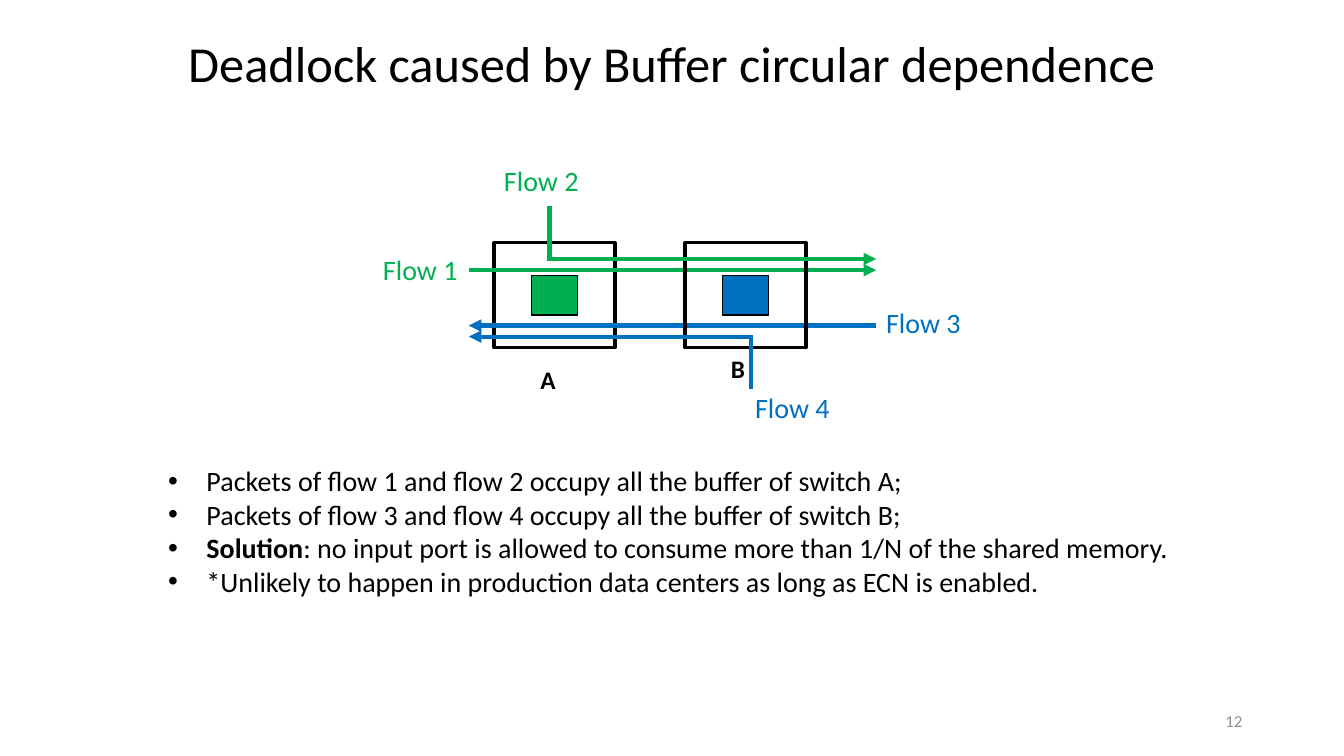
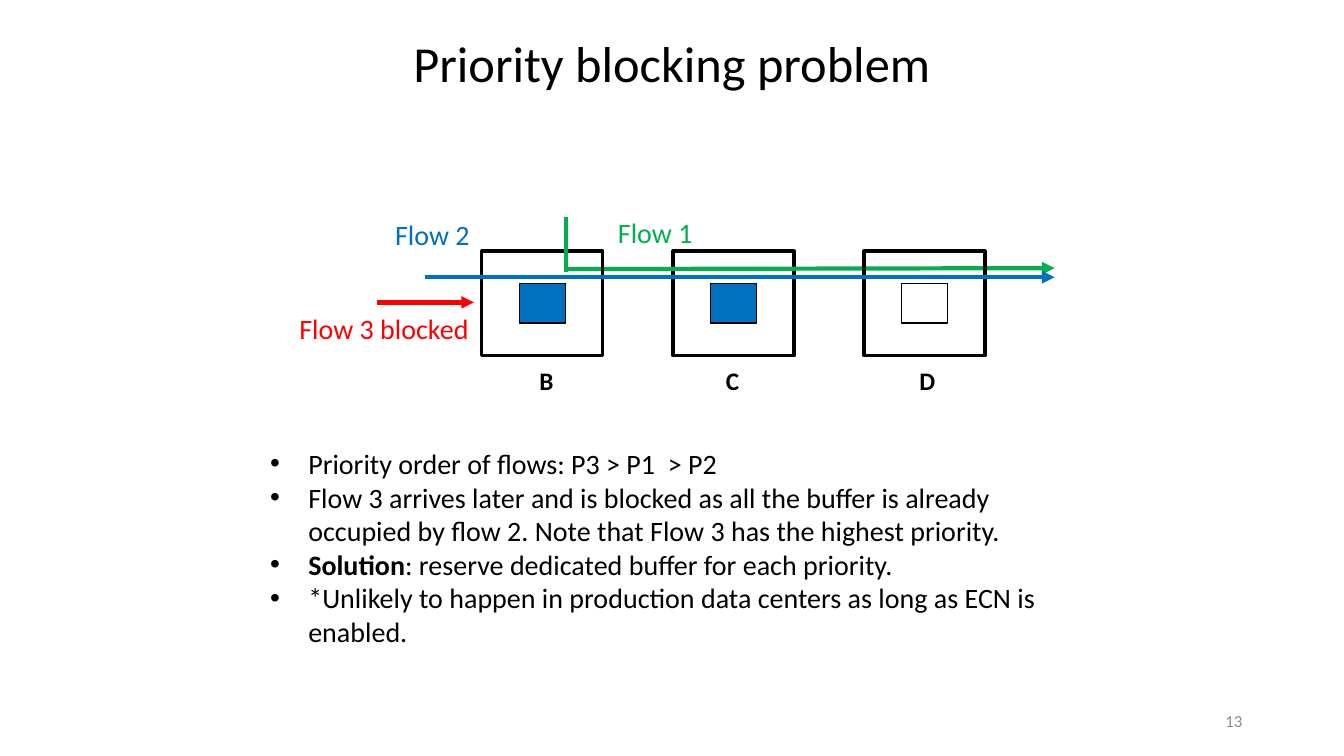
from lxml import etree
from pptx import Presentation
from pptx import util as u
from pptx.dml.color import RGBColor
from pptx.enum import shapes, text
from pptx.oxml import ns

COLORS = {"black": "000000", "green": "00B050", "blue": "0070C0",
          "red": "FF0000", "gray": "8C8C8C"}
FONT = "Calibri"
SWITCH = (1.2, 1.04)
BUFFER = (0.46, 0.39)
SWITCH_STEP = 1.895
ECN_NOTE = "*Unlikely to happen in production data centers as long as ECN is enabled."


class Deck:
    """Holds the shared style and the page being drawn."""

    def __init__(self):
        self.file = Presentation()
        self.file.slide_width = u.Inches(13.33)
        self.file.slide_height = u.Inches(7.5)
        self.page = None

    def add_page(self, title, number):
        self.page = self.file.slides.add_slide(self.file.slide_layouts[6])
        self.text(title, (1.72, 0.27, 9.89, 0.71), size=36,
                  align=text.PP_ALIGN.CENTER)
        self.text(str(number), (9.42, 6.95, 3, 0.4), size=12, color="gray",
                  align=text.PP_ALIGN.RIGHT, anchor=text.MSO_ANCHOR.MIDDLE)

    def box(self, area, wrap=True, anchor=text.MSO_ANCHOR.TOP):
        frame = self.page.shapes.add_textbox(*map(u.Inches, area)).text_frame
        values = {"word_wrap": wrap, "vertical_anchor": anchor,
                  "auto_size": text.MSO_AUTO_SIZE.NONE}
        for name, value in values.items():
            setattr(frame, name, value)
        return frame

    def span(self, para, words, size, color="black", bold=False):
        span = para.add_run()
        span.text = words
        values = {"name": FONT, "size": u.Pt(size), "bold": bold}
        for name, value in values.items():
            setattr(span.font, name, value)
        span.font.color.rgb = RGBColor.from_string(COLORS[color])

    def text(self, words, area, size=20, color="black", bold=False,
             align=text.PP_ALIGN.LEFT, **layout):
        para = self.box(area, **layout).paragraphs[0]
        para.alignment = align
        self.span(para, words, size, color, bold)

    def flow_label(self, words, left, top, color, width=0.95):
        self.text(words, (left, top, width, 0.44), color=color, wrap=False)

    def switch_label(self, words, left, top):
        self.text(words, (left, top, 0.35, 0.4), size=18, bold=True, wrap=False)

    def bullets(self, items, area):
        """Each item is a pair: bold lead-in (may be empty) and plain text."""
        frame = self.box(area)
        for index, (lead, rest) in enumerate(items):
            para = frame.add_paragraph() if index else frame.paragraphs[0]
            props = para._p.get_or_add_pPr()
            props.set("marL", str(u.Inches(0.38)))
            props.set("indent", str(u.Inches(-0.38)))
            etree.SubElement(props, ns.qn("a:buFont")).set("typeface", "Arial")
            etree.SubElement(props, ns.qn("a:buChar")).set("char", "•")
            if lead:
                self.span(para, lead, 20, bold=True)
            self.span(para, rest, 20)

    def rect(self, area, line_width, fill=None):
        shape = self.page.shapes.add_shape(shapes.MSO_SHAPE.RECTANGLE,
                                           *map(u.Inches, area))
        shape.shadow.inherit = False
        if fill:
            shape.fill.solid()
            shape.fill.fore_color.rgb = RGBColor.from_string(COLORS[fill])
        else:
            shape.fill.background()
        shape.line.width = u.Pt(line_width)
        shape.line.color.rgb = RGBColor.from_string(COLORS["black"])

    def switch(self, left, top, buffer_fill=None):
        """A switch with its buffer in the centre."""
        self.rect((left, top, *SWITCH), 2.25)
        inner = [start + (outer - size) / 2 for start, outer, size
                 in zip((left, top), SWITCH, BUFFER)]
        self.rect((*inner, *BUFFER), 1, buffer_fill)

    def flow(self, start, end, color, arrow=True):
        line = self.page.shapes.add_connector(
            shapes.MSO_CONNECTOR.STRAIGHT, *map(u.Inches, (*start, *end)))
        line.line.width = u.Pt(3)
        line.line.color.rgb = RGBColor.from_string(COLORS[color])
        props = line._element.spPr
        if arrow:
            tail = etree.SubElement(props.find(ns.qn("a:ln")), ns.qn("a:tailEnd"))
            tail.set("type", "triangle")
        etree.SubElement(props, ns.qn("a:effectLst"))


def deadlock_page(deck):
    deck.add_page("Deadlock caused by Buffer circular dependence", 12)
    left, right = 4.65, 8.69

    # Switches and the flows between them
    deck.switch(4.9, 2.41, "green")
    deck.flow((left, 2.68), (right, 2.68), "green")
    deck.flow((right, 3.23), (left, 3.23), "blue")
    deck.switch(4.9 + SWITCH_STEP, 2.41, "blue")
    deck.flow((5.44, 2.57), (right, 2.57), "green")
    deck.flow((5.45, 2.04), (5.45, 2.59), "green", arrow=False)
    deck.flow((7.46, 3.34), (left, 3.34), "blue")
    deck.flow((7.45, 3.86), (7.45, 3.32), "blue", arrow=False)

    # Labels
    deck.switch_label("A", 5.26, 3.57)
    deck.switch_label("B", 7.15, 3.46)
    for words, x, y, color in (("Flow 1", 3.7, 2.46, "green"),
                               ("Flow 2", 4.9, 1.57, "green"),
                               ("Flow 3", right, 2.98, "blue"),
                               ("Flow 4", 7.39, 3.82, "blue")):
        deck.flow_label(words, x, y, color)

    # Explanation
    deck.bullets([
        ("", "Packets of flow 1 and flow 2 occupy all the buffer of switch A;"),
        ("", "Packets of flow 3 and flow 4 occupy all the buffer of switch B;"),
        ("Solution", ": no input port is allowed to consume more than 1/N "
                     "of the shared memory."),
        ("", ECN_NOTE),
    ], (1.57, 4.55, 10.2, 1.45))


def priority_page(deck):
    deck.add_page("Priority blocking problem", 13)
    first, top, right = 4.78, 2.49, 10.46

    # Switches and the flows through them
    deck.switch(first + SWITCH_STEP, top, "blue")
    deck.flow((5.61, 2.67), (right, 2.66), "green")
    deck.switch(first + 2 * SWITCH_STEP, top)
    deck.flow((3.74, 3), (4.7, 3), "red")
    deck.switch(first, top, "blue")
    deck.flow((4.22, 2.75), (right, 2.75), "blue")
    deck.flow((5.61, 2.15), (5.61, 2.7), "green", arrow=False)

    # Labels
    for words, x in (("B", 5.25), ("C", 7.1), ("D", 9.02)):
        deck.switch_label(words, x, 3.58)
    deck.flow_label("Flow 1", 6.03, 2.09, "green")
    deck.flow_label("Flow 2", 3.82, 2.11, "blue")
    deck.flow_label("Flow 3 blocked", 2.87, 3.04, "red", width=1.9)

    # Explanation
    deck.bullets([
        ("", "Priority order of flows: P3 > P1  > P2"),
        ("", "Flow 3 arrives later and is blocked as all the buffer is already "
             "occupied by flow 2. Note that Flow 3 has the highest priority."),
        ("Solution", ": reserve dedicated buffer for each priority."),
        ("", ECN_NOTE),
    ], (2.58, 4.38, 8.17, 2.12))


def main():
    deck = Deck()
    deadlock_page(deck)
    priority_page(deck)
    deck.file.save("out.pptx")


if __name__ == "__main__":
    main()
